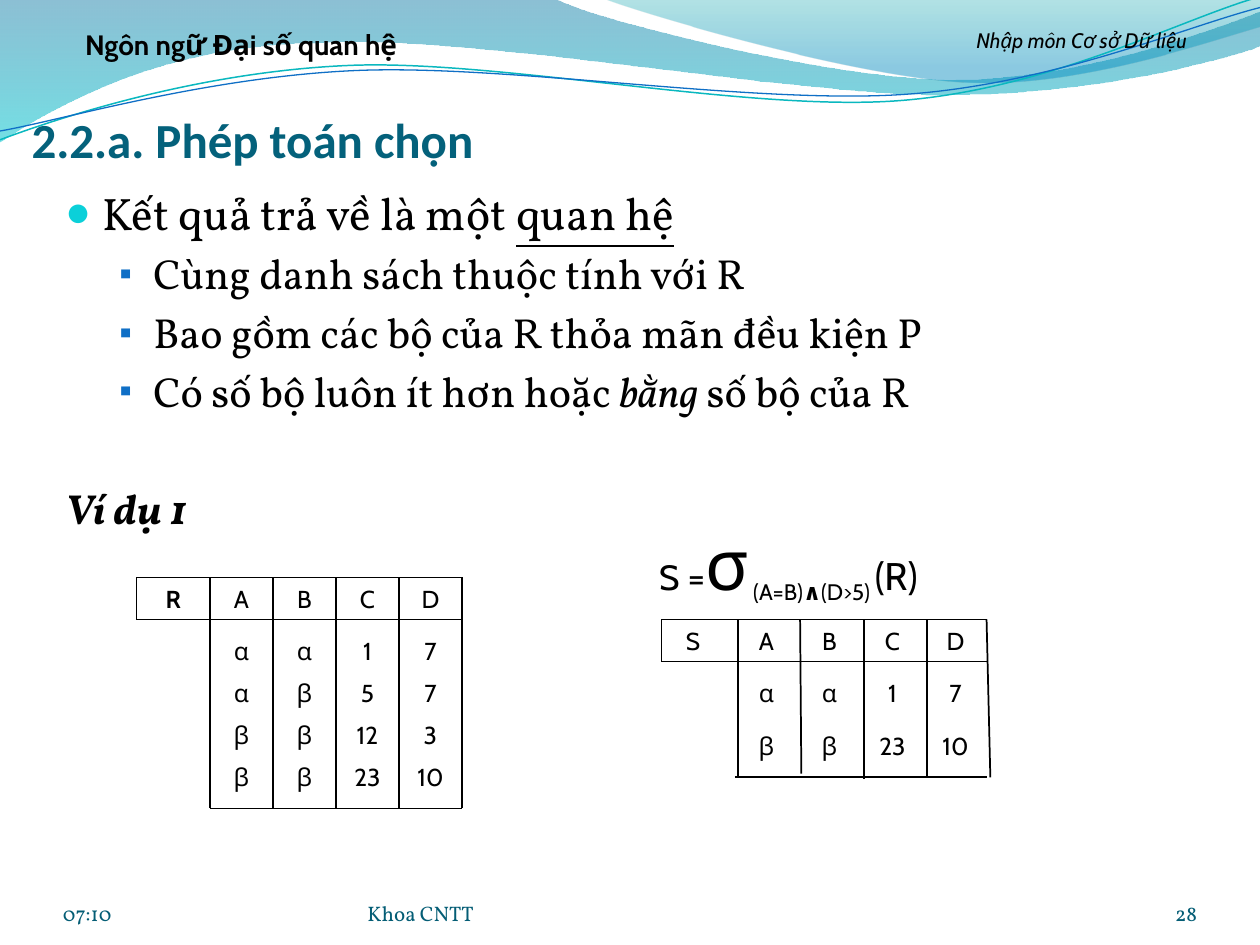
from dataclasses import dataclass
from typing import Any

from lxml.etree import SubElement
from pptx import Presentation
from pptx.dml.color import RGBColor
from pptx.enum.shapes import MSO_CONNECTOR
from pptx.enum.text import MSO_ANCHOR, MSO_AUTO_SIZE, PP_ALIGN
from pptx.oxml.ns import qn
from pptx.util import Inches, Pt

COLORS = {
    "ink": "000000", "title": "04617B", "footer": "045D75",
    "disc": "0BD0D9", "square": "0F6FC6", "teal_line": "0AB8BF",
    "deep": "0074A1", "cyan": "00C6CF", "sea": "00A1A9", "sky": "008BBF",
}


def color(name):
    return RGBColor.from_string(COLORS[name])


@dataclass
class SlideWriter:
    """Holds the style and the current slide, and draws each kind of element."""

    page: Any
    canvas: Any
    heading_font: str = "Calibri"
    body_font: str = "Vollkorn"
    label_font: str = "Cabin"

    def span(self, para, text, size, font, tint="ink", bold=False, italic=False,
             underline=False, baseline=None):
        span = para.add_run()
        span.text = text
        span.font.size, span.font.name = Pt(size), font
        span.font.bold, span.font.italic = bold, italic
        span.font.underline = underline
        span.font.color.rgb = color(tint)
        if baseline is not None:
            span.font._element.set("baseline", str(baseline * 1000))

    def text(self, left, top, width, height):
        box = self.canvas.add_textbox(*map(Inches, (left, top, width, height)))
        box.text_frame.word_wrap = True
        return box.text_frame

    def label(self, left, top, width, height, spans):
        frame = self.text(left, top, width, height)
        frame.auto_size = MSO_AUTO_SIZE.SHAPE_TO_FIT_TEXT
        para = frame.paragraphs[0]
        para.alignment = PP_ALIGN.CENTER
        for words, size, style in spans:
            self.span(para, words, size, self.label_font, **style)

    def footer(self, left, width, words, align=PP_ALIGN.LEFT):
        frame = self.text(left, 6.95, width, 0.4)
        frame.margin_left = frame.margin_right = frame.margin_top = frame.margin_bottom = 0
        frame.vertical_anchor = MSO_ANCHOR.BOTTOM
        frame.paragraphs[0].alignment = align
        self.span(frame.paragraphs[0], words, 12, self.body_font, "footer")

    def placeholder(self, index, left, top, width, height):
        holder = self.page.placeholders[index]
        holder.left, holder.top = Inches(left), Inches(top)
        holder.width, holder.height = Inches(width), Inches(height)
        holder.text_frame.auto_size = MSO_AUTO_SIZE.NONE
        self.page.shapes._spTree.append(holder._element)
        return holder.text_frame

    def title(self, words):
        frame = self.placeholder(0, 0.25, 0.66, 9, 0.68)
        frame.margin_left = frame.margin_right = frame.margin_bottom = 0
        frame.margin_top = Inches(0.05)
        frame.vertical_anchor = MSO_ANCHOR.BOTTOM
        frame.paragraphs[0].alignment = PP_ALIGN.LEFT
        self.span(frame.paragraphs[0], words, 28, self.heading_font, "title", bold=True)

    def bullets(self, items):
        frame = self.placeholder(1, 5 / 12, 17 / 12, 9.08, 5.58)
        frame.vertical_anchor = MSO_ANCHOR.TOP
        for number, (level, bullet, size, before, spans) in enumerate(items):
            para = frame.add_paragraph() if number else frame.paragraphs[0]
            para.level = level
            margin, indent = ((0.3, -0.3), (0.7, -0.27))[level]
            props = para._p.get_or_add_pPr()
            props.set("marL", str(Inches(margin)))
            props.set("indent", str(Inches(indent)))
            if bullet:
                mark, tint, percent = bullet
                SubElement(SubElement(props, qn("a:buClr")), qn("a:srgbClr"), val=COLORS[tint])
                SubElement(props, qn("a:buSzPct"), val=str(percent * 1000))
                SubElement(props, qn("a:buChar"), char=mark)
            else:
                SubElement(props, qn("a:buNone"))
            para.space_before = Pt(before)
            for words, style in spans:
                self.span(para, words, size, self.body_font, **style)

    def wave(self, start, parts, stops=None, line=None):
        ends = [tuple(map(Inches, part[-2:])) for part in parts]
        builder = self.canvas.build_freeform(*map(Inches, start))
        builder.add_line_segments(ends, close=bool(stops))
        shape = builder.convert_to_shape()
        shape.shadow.inherit = False
        for segment, part in zip(list(shape._element.iter(qn("a:lnTo"))), parts):
            if len(part) == 6:
                self.bend(segment, part, shape)
        if stops:
            shape.line.fill.background()
            shape.fill.gradient()
            shape.fill.gradient_angle = 270
            for stop, (position, tint, _) in zip(shape.fill.gradient_stops, stops):
                stop.position = position
                stop.color.rgb = color(tint)
            for node, (_, _, opacity) in zip(shape._element.iter(qn("a:srgbClr")), stops):
                SubElement(node, qn("a:alpha"), val=str(opacity * 1000))
        else:
            shape.fill.background()
            shape.line.color.rgb = color(line[0])
            shape.line.width = Pt(line[1])

    def bend(self, segment, part, shape):
        curve = SubElement(segment.getparent(), qn("a:cubicBezTo"))
        for x, y in zip(part[::2], part[1::2]):
            SubElement(curve, qn("a:pt"), x=str(Inches(x) - shape.left),
                       y=str(Inches(y) - shape.top))
        segment.getparent().replace(segment, curve)

    def rule(self, *ends):
        rule = self.canvas.add_connector(MSO_CONNECTOR.STRAIGHT, *map(Inches, ends))
        rule.line.color.rgb = color("ink")
        rule.line.width = Pt(1)
        SubElement(rule._element.spPr, qn("a:effectLst"))

    def relation(self, name, left, top, name_width, bold, bottom, row_tops, rows, verticals):
        self.canvas = self.page.shapes.add_group_shape().shapes
        first, right, head = left + 7 / 12, left + 31 / 12, top + 1 / 3
        self.label(left, top, name_width, 1 / 3, [(name, 14, {"bold": bold})])
        for row_top, row in zip([top, *row_tops], ["ABCD", *rows]):
            for column, value in enumerate(row):
                self.label(first + column * 0.5, row_top, 0.5, 1 / 3, [(value, 14, {})])
        self.rule(left, top, right, top)
        self.rule(left, head, right, head)
        self.rule(first, bottom, right, bottom)
        self.rule(left, top, left, head)
        for start, end, low in verticals:
            self.rule(start, top, end, low)
        self.canvas = self.page.shapes


def main():
    deck = Presentation()
    deck.slide_width, deck.slide_height = Inches(10), Inches(7.5)
    page = deck.slides.add_slide(deck.slide_layouts[1])
    writer = SlideWriter(page, page.shapes)

    writer.wave((0, -0.01), [
        (4.4, -0.01), (4.76, 0.17, 6.64, 0.63, 7.58, 0.63), (8.53, 0.63, 9.58, 0.26, 10, 0.09),
        (10.01, 0.36), (9.83, 0.44, 8.7, 0.76, 7.46, 0.75), (6.22, 0.75, 3.82, 0.28, 2.57, 0.34),
        (1.29, 0.35, 0.46, 0.83, -0.01, 1.13),
    ], stops=[(0, "deep", 45), (1, "cyan", 55)])
    writer.wave((4.79, -0.01), [
        (5.09, 0.11, 6.82, 0.62, 7.69, 0.65), (8.56, 0.69, 9.61, 0.32, 10, 0.21), (10, 0),
    ], stops=[(0, "sea", 30), (0.8, "sky", 45)])
    writer.wave((0, 1.11), [
        (0.48, 0.93, 1.58, 0.57, 2.77, 0.52), (3.95, 0.47, 5.93, 0.89, 7.13, 0.8),
        (8.33, 0.71, 9.38, 0.15, 9.98, -0.02),
    ], line=("teal_line", 0.85))
    writer.wave((0, 1.04), [
        (0.47, 0.96, 1.64, 0.61, 2.83, 0.56), (4.03, 0.51, 5.97, 0.83, 7.17, 0.75),
        (8.36, 0.67, 9.41, 0.21, 10, 0.06),
    ], line=("square", 0.75))

    disc, square = ("●", "disc", 95), ("▪", "square", 85)
    writer.bullets([
        (0, disc, 26, 0, [("Kết quả trả về là một ", {}), ("quan hệ", {"underline": True})]),
        (1, square, 24, 4.8, [("Cùng danh sách thuộc tính với R", {})]),
        (1, square, 24, 4.8, [("Bao gồm các bộ của R thỏa mãn đều kiện P", {})]),
        (1, square, 24, 4.8, [("Có số bộ luôn ít hơn hoặc ", {}), ("bằng", {"italic": True}),
                              (" số bộ của R", {})]),
        (0, None, 24, 38.4, [("Ví dụ 1", {"bold": True, "italic": True})]),
    ])
    writer.footer(0.5, 2.33, "07:10")
    writer.footer(8.67, 0.83, "28", PP_ALIGN.RIGHT)

    low = {"baseline": -25}
    writer.label(4 + 2 / 3, 4 + 1 / 12, 3.25, 0.77, [
        ("S =", 20, {}), ("σ", 40, {}), (" (A=B)", 22, low),
        ("∧", 22, {"bold": True, **low}), ("(D>5) ", 22, low), ("(R) ", 22, {}),
    ])
    writer.relation(
        "R", 13 / 12, 4 + 7 / 12, 7 / 12, True, 6 + 5 / 12, [5 + row / 3 for row in range(4)],
        [("α", "α", "1", "7"), ("α", "β", "5", "7"), ("β", "β", "12", "3"), ("β", "β", "23", "10")],
        [(5 / 3 + step / 2, 5 / 3 + step / 2, 6 + 5 / 12) for step in range(5)])
    writer.footer(35 / 12, 3.67, "Khoa CNTT")
    writer.label(7.17, 0.17, 2.83, 0.38, [("Nhập môn Cơ sở Dữ liệu", 12, {"italic": True})])
    writer.label(0.25, 0.17, 3.33, 0.37, [("Ngôn ngữ Đại số quan hệ", 16, {"bold": True})])
    writer.title("2.2.a. Phép toán chọn")
    writer.relation(
        "S", 5.25, 4 + 11 / 12, 0.5, False, 6 + 1 / 6, [5 + 1 / 3, 5.75],
        [("α", "α", "1", "7"), ("β", "β", "23", "10")],
        [(5.86, 5.86, 6.17), (6.35, 6.36, 6.14), (6.86, 6.86, 6.18), (7.36, 7.36, 6.17),
         (7.83, 7.86, 6.17)])
    deck.save("out.pptx")


if __name__ == "__main__":
    main()
